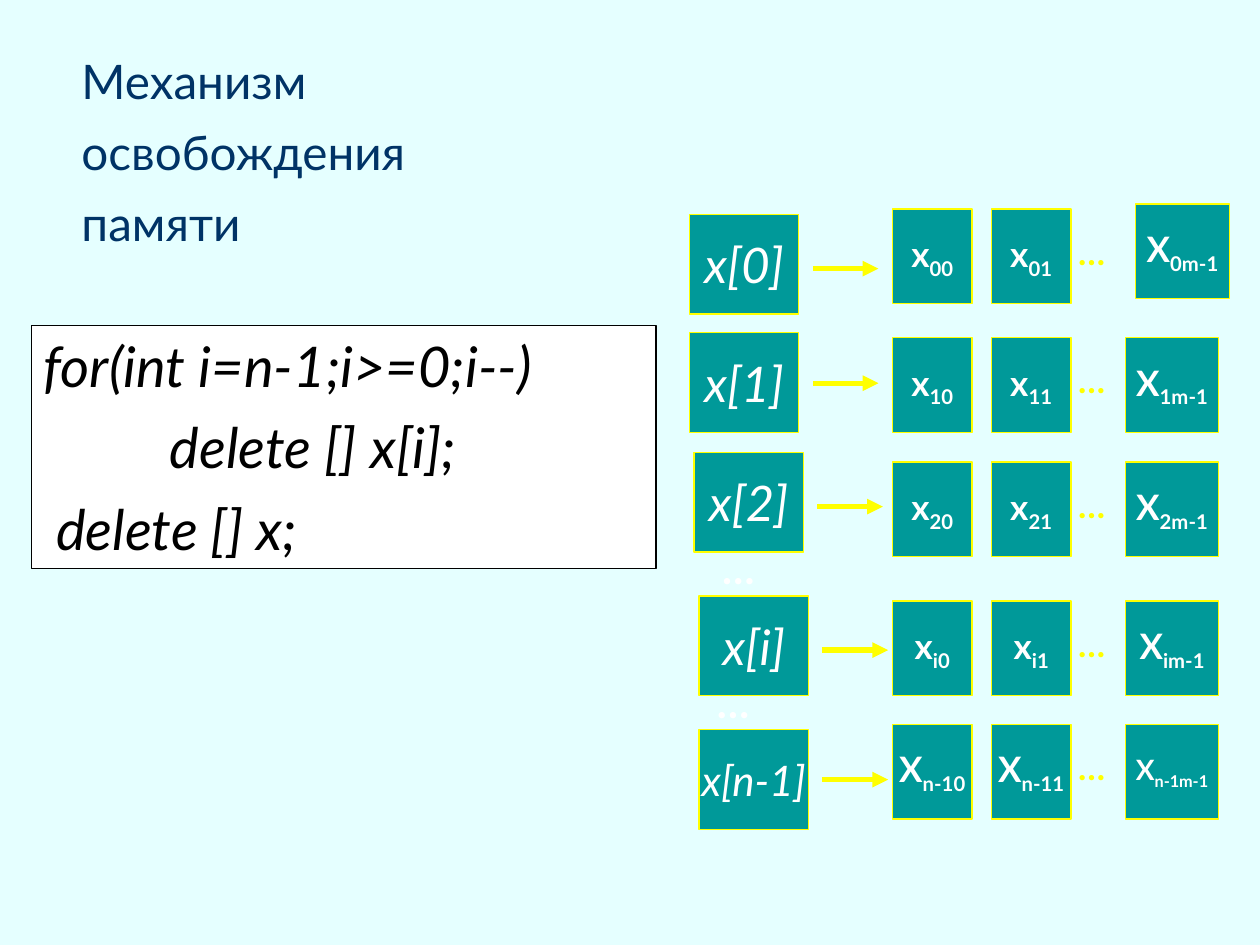
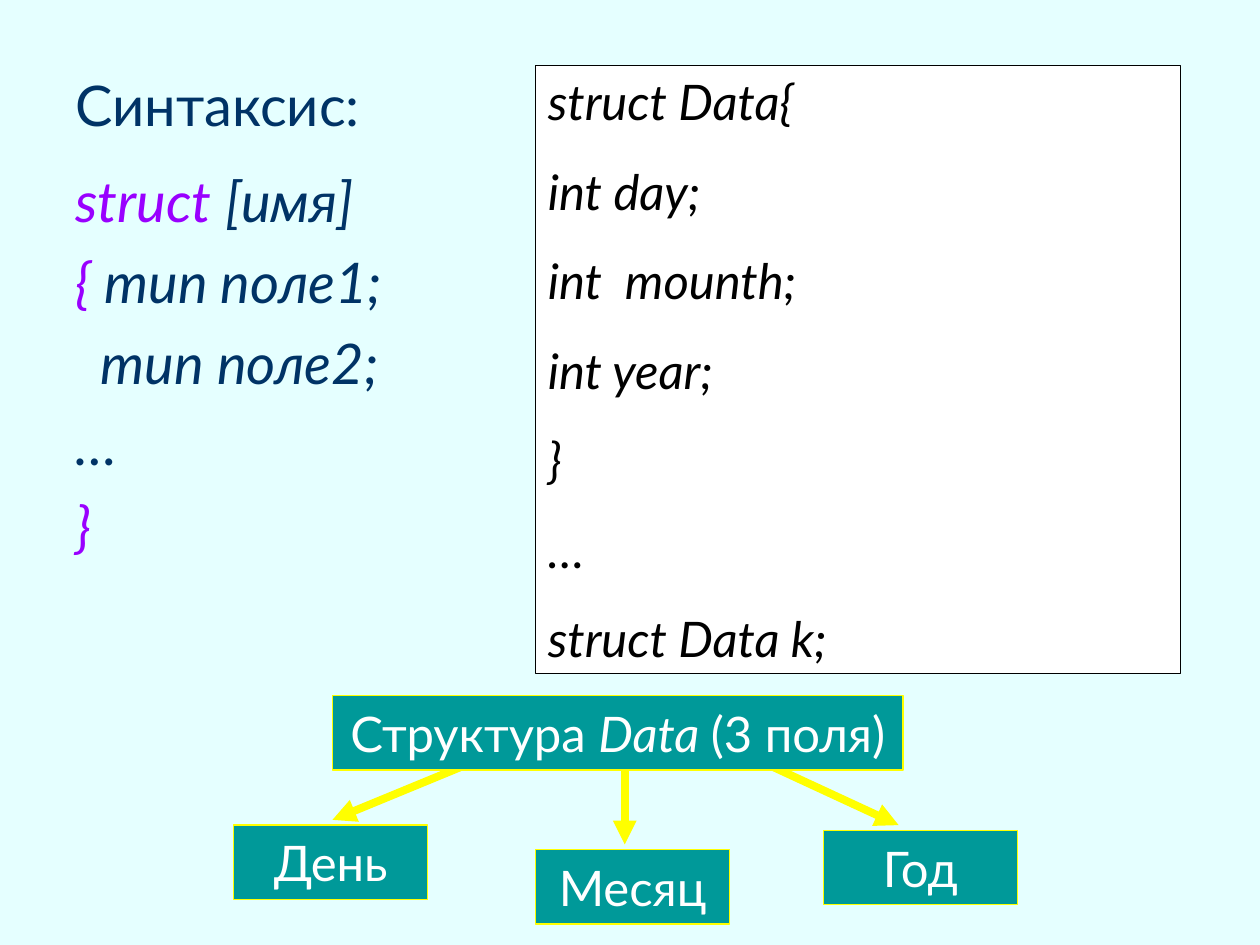
import pptx
import pptx.util
import pptx.dml.color
import pptx.enum.shapes
import pptx.enum.text
import pptx.oxml.ns
from lxml import etree

Pt = pptx.util.Pt
RGBColor = pptx.dml.color.RGBColor
MIDDLE = pptx.enum.text.MSO_ANCHOR.MIDDLE
TOP = pptx.enum.text.MSO_ANCHOR.TOP
CENTER = pptx.enum.text.PP_ALIGN.CENTER
LEFT = pptx.enum.text.PP_ALIGN.LEFT

# Shared look
FONT = "Lato"
BACKGROUND = RGBColor(0xE5, 0xFF, 0xFF)
NAVY = RGBColor(0x00, 0x33, 0x66)
TEAL = RGBColor(0x00, 0x99, 0x99)
YELLOW = RGBColor(0xFF, 0xFF, 0x00)
PURPLE = RGBColor(0x99, 0x00, 0xFF)
WHITE = RGBColor(0xFF, 0xFF, 0xFF)
BLACK = RGBColor(0x00, 0x00, 0x00)


def add_slide(presentation):
    slide = presentation.slides.add_slide(presentation.slide_layouts[6])
    slide.background.fill.solid()
    slide.background.fill.fore_color.rgb = BACKGROUND
    return slide


def write(shape, lines, size, color, space_before=0, bold=False, italic=False,
          align=LEFT, anchor=TOP, wrap=True, indents=()):
    """Each line is a string or a list of (text, changes) pieces."""
    frame = shape.text_frame
    frame.word_wrap = wrap
    frame.vertical_anchor = anchor
    for number, line in enumerate(lines):
        paragraph = frame.add_paragraph() if number else frame.paragraphs[0]
        paragraph.alignment = align
        paragraph.space_before = Pt(space_before)
        if number < len(indents):
            paragraph._p.get_or_add_pPr().set("marL", str(Pt(indents[number])))
        pieces = [(line, {})] if isinstance(line, str) else line
        for text, changes in pieces:
            run = paragraph.add_run()
            run.text = text
            run.font.name = FONT
            run.font.size = Pt(size)
            run.font.bold = bold
            run.font.italic = changes.get("italic", italic)
            run.font.color.rgb = changes.get("color", color)
            if changes.get("subscript"):
                run.font._element.set("baseline", "-25000")


def add_text(slide, left, top, width, height, lines, size, color, **style):
    shape = slide.shapes.add_textbox(Pt(left), Pt(top), Pt(width), Pt(height))
    write(shape, lines, size, color, **style)


def add_rectangle(slide, left, top, width, height, fill, line):
    shape = slide.shapes.add_shape(pptx.enum.shapes.MSO_SHAPE.RECTANGLE,
                                   Pt(left), Pt(top), Pt(width), Pt(height))
    shape.shadow.inherit = False
    shape.fill.solid()
    shape.fill.fore_color.rgb = fill
    shape.line.color.rgb = line
    shape.line.width = Pt(0.75)
    return shape


def add_box(slide, left, top, width, height, pieces, size, **style):
    """Teal box with a centred caption."""
    shape = add_rectangle(slide, left, top, width, height, TEAL, YELLOW)
    write(shape, [pieces], size, WHITE, space_before=size / 4,
          align=CENTER, anchor=MIDDLE, wrap=False, **style)


def add_code(slide, left, top, width, height, lines, size, **style):
    """White box with a code listing."""
    shape = add_rectangle(slide, left, top, width, height, WHITE, BLACK)
    write(shape, lines, size, BLACK, italic=True, **style)


def add_dots(slide, left, top, width, height, size, color):
    add_text(slide, left, top, width, height, ["…"], size, color,
             space_before=size * 0.625, bold=True)


def add_arrow(slide, start_x, start_y, end_x, end_y, width):
    connector = slide.shapes.add_connector(
        pptx.enum.shapes.MSO_CONNECTOR.STRAIGHT,
        Pt(start_x), Pt(start_y), Pt(end_x), Pt(end_y))
    connector.line.color.rgb = YELLOW
    connector.line.width = Pt(width)
    qualified = pptx.oxml.ns.qn
    etree.SubElement(connector.line._get_or_add_ln(), qualified("a:tailEnd"), type="triangle")
    etree.SubElement(connector._element.spPr, qualified("a:effectLst"))


def add_array_row(slide, key, left, top, arrow_y, cell_top,
                  label_size=28, letter="x", last_size=20, last_shift=(0, 0)):
    """Pointer x[key], an arrow, and the cells of its row."""
    add_box(slide, left, top, 62.5, 57, f"x[{key}]", label_size, italic=True)
    add_arrow(slide, left + 70.5, arrow_y, left + 108, arrow_y, 3)
    shift_x, shift_y = last_shift
    cells = [
        (510, cell_top, 45.5, letter, "0", 20),
        (566.5, cell_top, 45.5, letter, "1", 20),
        (643 + shift_x, cell_top + shift_y, 53.5, "X", "m-1", last_size),
    ]
    for cell_left, y, width, name, column, size in cells:
        pieces = [(name, {}), (key + column, {"subscript": True})]
        add_box(slide, cell_left, y, width, 54, pieces, size, bold=True)
    add_dots(slide, 609, cell_top + 8.5, 39.5, 32, 20, YELLOW)


def build_memory_slide(presentation):
    slide = add_slide(presentation)
    add_text(slide, 39.5, 26, 229.5, 147.5, ["Механизм", "освобождения", "памяти"],
             27.2, NAVY, space_before=8)

    # Array of pointers with its rows
    add_array_row(slide, "0", 394, 122.5, 153.5, 119.5, last_shift=(6, -3))
    add_array_row(slide, "1", 394, 190, 219, 193)
    add_array_row(slide, "2", 396.5, 258.5, 289.5, 264)
    add_array_row(slide, "i", 399.5, 340.5, 371.5, 343.5)
    add_array_row(slide, "n-1", 399.5, 417, 445.5, 414,
                  label_size=24, letter="X", last_size=16)
    add_dots(slide, 405.5, 306.5, 39.5, 36, 24, WHITE)
    add_dots(slide, 402.5, 383, 45.5, 36, 24, WHITE)

    add_code(slide, 18, 186, 357, 139,
             ["for(int i=n-1;i>=0;i--)", "delete [] x[i];", "delete [] x;"],
             32, space_before=8, indents=(0, 72, 7))


def build_structure_slide(presentation):
    slide = add_slide(presentation)

    # Arrows lie beneath the boxes
    add_arrow(slide, 439, 437, 513.5, 471.5, 4.5)
    add_arrow(slide, 357, 437, 357, 482.5, 4.5)
    add_arrow(slide, 266.5, 437, 190, 468.5, 4.5)

    # Syntax
    add_text(slide, 36, 30, 648, 58.5, ["Синтаксис:"], 32, NAVY, anchor=MIDDLE)
    keyword = {"color": PURPLE}
    add_text(slide, 36, 91.5, 648, 232.5, [
        [("struct ", keyword), ("[имя]", {})],
        [("{ ", keyword), ("тип поле1;", {})],
        "тип поле2;",
        "…",
        [("}", keyword)],
    ], 32, NAVY, space_before=8, italic=True, indents=(0, 0, 14.5))

    # Example
    add_code(slide, 306, 37.5, 368.5, 347.5,
             ["struct Data{", "int day;", "int  mounth;", "int year;", "}", "…",
              "struct Data k;"], 28, space_before=17.5)

    # Structure and its fields
    add_box(slide, 190, 397.5, 326, 42.5,
            [("Структура ", {}), ("Data ", {"italic": True}), ("(3 поля)", {})], 28)
    for left, top, field in [(133.5, 471.5, "День"), (306, 485.5, "Месяц"),
                             (470.5, 474.5, "Год")]:
        add_box(slide, left, top, 111, 42.5, field, 28)


def main():
    presentation = pptx.Presentation()
    presentation.slide_width = Pt(720)
    presentation.slide_height = Pt(540)
    build_memory_slide(presentation)
    build_structure_slide(presentation)
    presentation.save("out.pptx")


if __name__ == "__main__":
    main()
